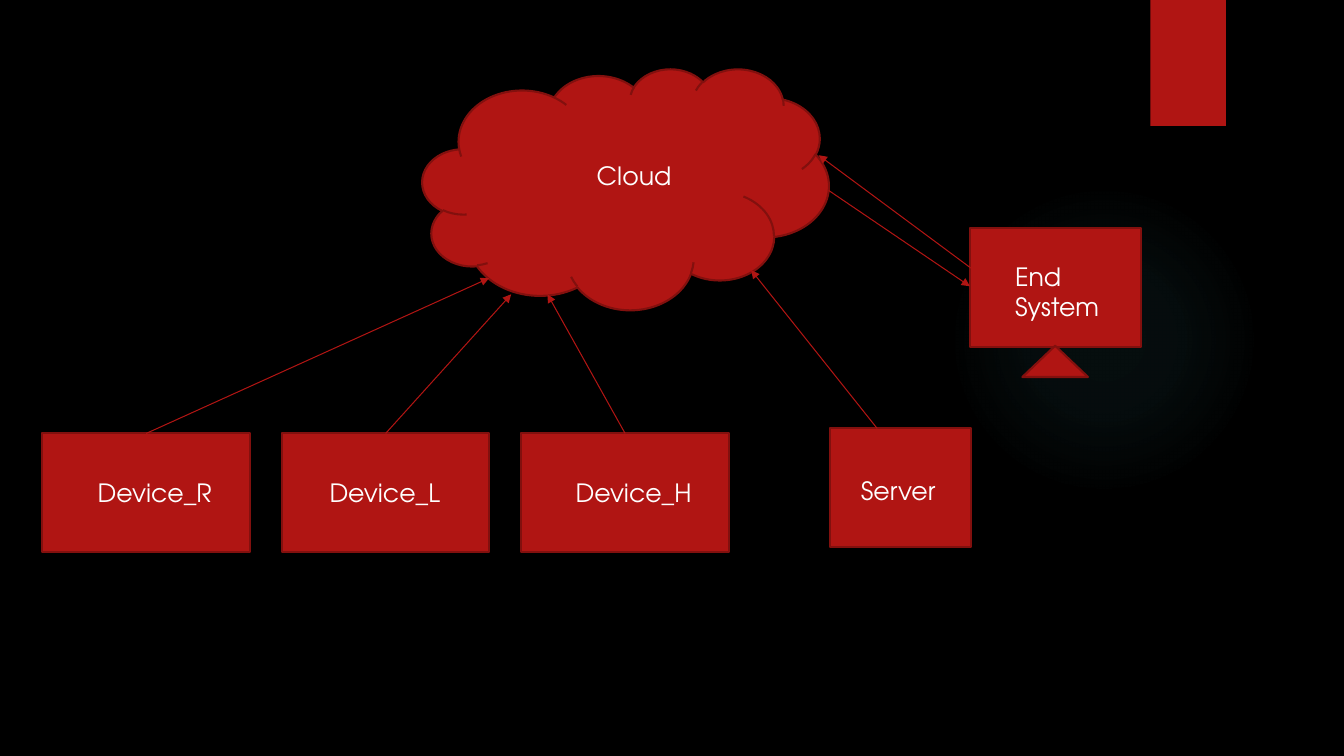
from lxml.etree import SubElement
from pptx import Presentation
from pptx.dml.color import RGBColor
from pptx.enum.shapes import MSO_CONNECTOR, MSO_SHAPE
from pptx.enum.text import MSO_AUTO_SIZE
from pptx.oxml import parse_xml
from pptx.oxml.ns import nsdecls, qn
from pptx.util import Inches, Pt

COLORS = {"background": "000000", "red": "B01513", "edge": "82100E",
          "text": "FFFFFF", "glow": "50B9C1"}
RGB = {name: RGBColor.from_string(value) for name, value in COLORS.items()}

prs = Presentation()
prs.slide_width, prs.slide_height = Inches(13.33), Inches(7.5)
slide = prs.slides.add_slide(prs.slide_layouts[6])
slide.background.fill.solid()
slide.background.fill.fore_color.rgb = RGB["background"]
shapes = slide.shapes


def add_block(kind, *box, edge=True):
    """Add a red preset shape; box is left, top, width, height in inches."""
    sp = shapes.add_shape(kind, *map(Inches, box))
    sp.shadow.inherit = False
    sp.fill.solid()
    sp.fill.fore_color.rgb = RGB["red"]
    if edge:
        sp.line.color.rgb = RGB["edge"]
        sp.line.width = Pt(1.5)
    else:
        sp.line.fill.background()
    return sp


# Glow behind the end system, and the tab at the top edge
glow = add_block(MSO_SHAPE.OVAL, 9.41, 1.83, 3.08, 3.08, edge=False)
stops = "".join(
    f'<a:gs pos="{pos}000"><a:srgbClr val="{COLORS["glow"]}">'
    f'<a:alpha val="{alpha}000"/></a:srgbClr></a:gs>'
    for pos, alpha in [(0, 7), (36, 6), (69, 0)])
grad = parse_xml(
    f'<a:gradFill {nsdecls("a")}><a:gsLst>{stops}</a:gsLst><a:path path="circle">'
    '<a:fillToRect l="50000" t="50000" r="50000" b="50000"/></a:path></a:gradFill>')
spPr = glow._element.spPr
spPr.replace(spPr.find(qn("a:solidFill")), grad)
add_block(MSO_SHAPE.RECTANGLE, 11.41, 0, 0.75, 1.25, edge=False)

# Devices in equal columns, then the cloud, server and end system
LEFT, PITCH, ROW = 0.42, 2.375, 4.3
DEVICE_W, BOX_H = 2.06, 1.18
for col in range(3):
    add_block(MSO_SHAPE.RECTANGLE, LEFT + col * PITCH, ROW, DEVICE_W, BOX_H)
add_block(MSO_SHAPE.CLOUD, 4.19, 0.68, 4.03, 2.39)
add_block(MSO_SHAPE.RECTANGLE, 8.23, 4.25, 1.4, BOX_H)
add_block(MSO_SHAPE.RECTANGLE, 9.62, 2.26, 1.7, BOX_H)
add_block(MSO_SHAPE.ISOSCELES_TRIANGLE, 10.14, 3.43, 0.65, 0.31)

# Arrows: one from the top middle of each device, the rest by their ends
cloud_ends = [(4.85, 2.76), (5.07, 2.92), (5.43, 2.92)]
arrows = [(LEFT + col * PITCH + DEVICE_W / 2, ROW, *end)
          for col, end in enumerate(cloud_ends)]
arrows += [(8.22, 1.89, 9.62, 2.84), (9.63, 2.66, 8.12, 1.54), (8.7, 4.25, 7.45, 2.68)]
for ends in arrows:
    cxn = shapes.add_connector(MSO_CONNECTOR.STRAIGHT, *map(Inches, ends))
    cxn.line.color.rgb = RGB["red"]
    cxn.line.width = Pt(0.75)
    spPr = cxn._element.spPr
    SubElement(spPr.find(qn("a:ln")), qn("a:tailEnd"), type="triangle")
    SubElement(spPr, qn("a:effectLst"))

# Labels
FRAME = {"word_wrap": True, "auto_size": MSO_AUTO_SIZE.SHAPE_TO_FIT_TEXT}
FONT = {"name": "TeX Gyre Adventor", "size": Pt(18)}
labels = [
    ("Device_R", 0.87, 4.69, 1.51, 0.4),
    ("Device_L", 3.17, 4.69, 1.57, 0.4),
    ("Device_H", 5.61, 4.69, 1.55, 0.4),
    ("Cloud", 5.82, 1.54, 1.99, 0.4),
    ("Server", 8.44, 4.67, 1.28, 0.4),
    ("End\nSystem", 9.97, 2.54, 1.24, 0.71),
]
for text, *box in labels:
    tf = shapes.add_textbox(*map(Inches, box)).text_frame
    for name, value in FRAME.items():
        setattr(tf, name, value)
    tf.text = text
    for p in tf.paragraphs:
        r = p.runs[0]
        for name, value in FONT.items():
            setattr(r.font, name, value)
        r.font.color.rgb = RGB["text"]

prs.save("out.pptx")
